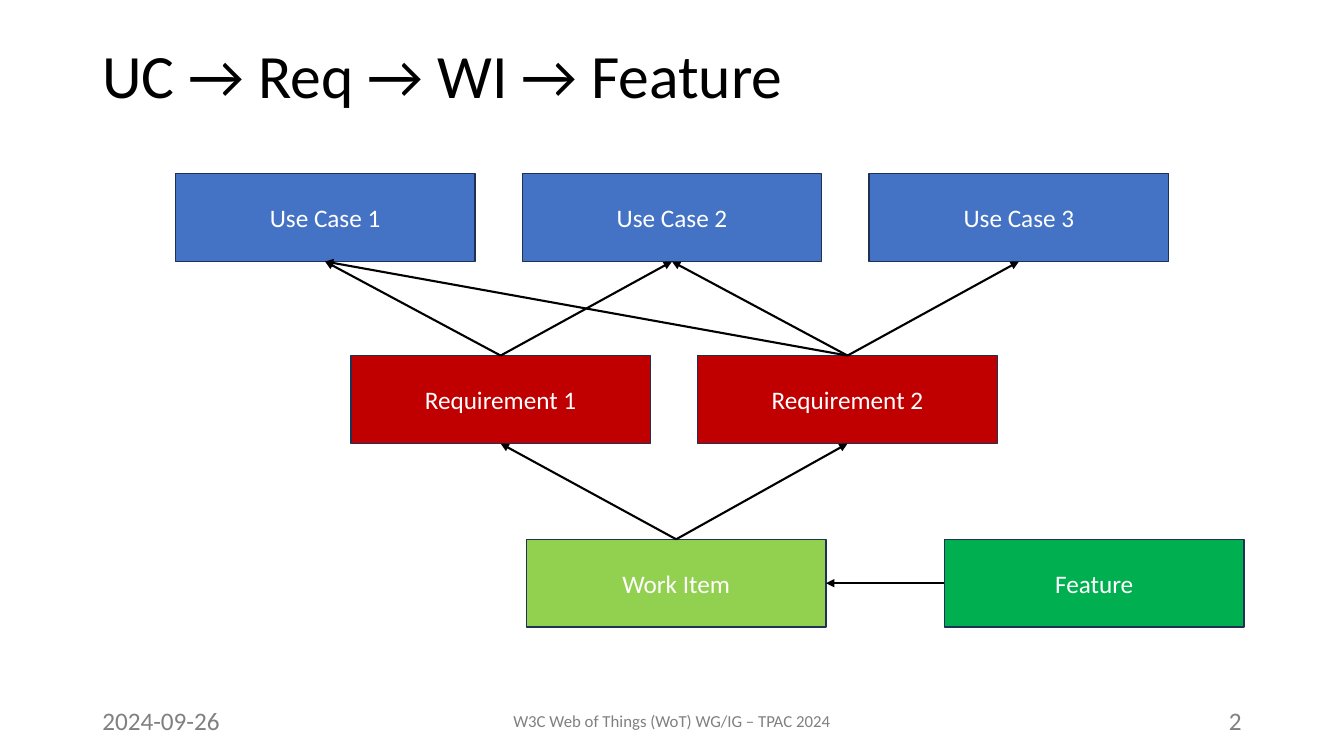
from pptx import Presentation
from pptx.util import Pt
from pptx.dml.color import RGBColor as RGB
from pptx.enum.shapes import MSO_SHAPE as SHAPE, MSO_CONNECTOR as CONN
from pptx.enum.text import PP_ALIGN as ALIGN, MSO_ANCHOR as ANCHOR, MSO_AUTO_SIZE as FIT
from pptx.oxml.ns import qn
from lxml.etree import SubElement

HUES = {"black": "000000", "white": "FFFFFF", "gray": "808080", "edge": "1E3256",
        "blue": "4472C4", "red": "C00000", "lime": "92D050", "green": "00B050"}


def hue(name):
    return RGB.from_string(HUES[name])


def write(shape, text, size, color, align, anchor):
    frame = shape.text_frame
    frame.word_wrap = True
    frame.auto_size = FIT.NONE
    frame.vertical_anchor = anchor
    para = frame.paragraphs[0]
    para.alignment = align
    run = para.add_run()
    run.text = text
    run.font.name = "Calibri"
    run.font.size = Pt(size)
    run.font.color.rgb = hue(color)


deck = Presentation()
deck.slide_width, deck.slide_height = Pt(960), Pt(540)
slide = deck.slides.add_slide(deck.slide_layouts[5])
shapes = slide.shapes

# Title
title = shapes.title
title.left, title.top, title.width, title.height = Pt(66), Pt(28.8), Pt(828), Pt(104.4)
write(title, "UC → Req → WI → Feature", 44, "black", ALIGN.LEFT, ANCHOR.TOP)
title.text_frame.paragraphs[0].line_spacing = 0.9

# Footer: date, event, page number
for text, left, width, size, align in [
    ("2024-09-26", 66, 216, 18, ALIGN.LEFT),
    ("W3C Web of Things (WoT) WG/IG – TPAC 2024", 318, 324, 12, ALIGN.CENTER),
    ("2", 678, 216, 18, ALIGN.RIGHT),
]:
    box = shapes.add_textbox(Pt(left), Pt(500.5), Pt(width), Pt(28.75))
    write(box, text, size, "gray", align, ANCHOR.MIDDLE)

# Boxes: each row has a left edge, a top, a fill and its labels
WIDE, HIGH, STEP = 214, 62.8, 247.8
rows = [
    (125.2, 124, "blue", ["Use Case 1", "Use Case 2", "Use Case 3"]),
    (250.6, 254, "red", ["Requirement 1", "Requirement 2"]),
    (376, 385.2, "lime", ["Work Item"]),
    (674.6, 385.2, "green", ["Feature"]),
]
nodes = {}
for left, top, fill, labels in rows:
    for col, label in enumerate(labels):
        node = shapes.add_shape(SHAPE.RECTANGLE, Pt(left + col * STEP), Pt(top),
                                Pt(WIDE), Pt(HIGH))
        node.shadow.inherit = False
        node.fill.solid()
        node.fill.fore_color.rgb = hue(fill)
        node.line.color.rgb = hue("edge")
        node.line.width = Pt(1)
        write(node, label, 18, "white", ALIGN.CENTER, ANCHOR.MIDDLE)
        nodes[label] = node

# Arrows join connection sites of the boxes
TOP, LEFT, BASE, RIGHT = range(4)
links = [
    ("Requirement 1", TOP, "Use Case 1", BASE),
    ("Requirement 1", TOP, "Use Case 2", BASE),
    ("Requirement 2", TOP, "Use Case 1", BASE),
    ("Requirement 2", TOP, "Use Case 2", BASE),
    ("Requirement 2", TOP, "Use Case 3", BASE),
    ("Work Item", TOP, "Requirement 1", BASE),
    ("Work Item", TOP, "Requirement 2", BASE),
    ("Feature", LEFT, "Work Item", RIGHT),
]
for start, exit, end, entry in links:
    arrow = shapes.add_connector(CONN.STRAIGHT, 0, 0, 0, 0)
    arrow.begin_connect(nodes[start], exit)
    arrow.end_connect(nodes[end], entry)
    arrow.line.color.rgb = hue("black")
    arrow.line.width = Pt(1.5)
    props = arrow.element.spPr
    SubElement(props.find(qn("a:ln")), qn("a:tailEnd"), type="triangle")
    SubElement(props, qn("a:effectLst"))

deck.save("out.pptx")
